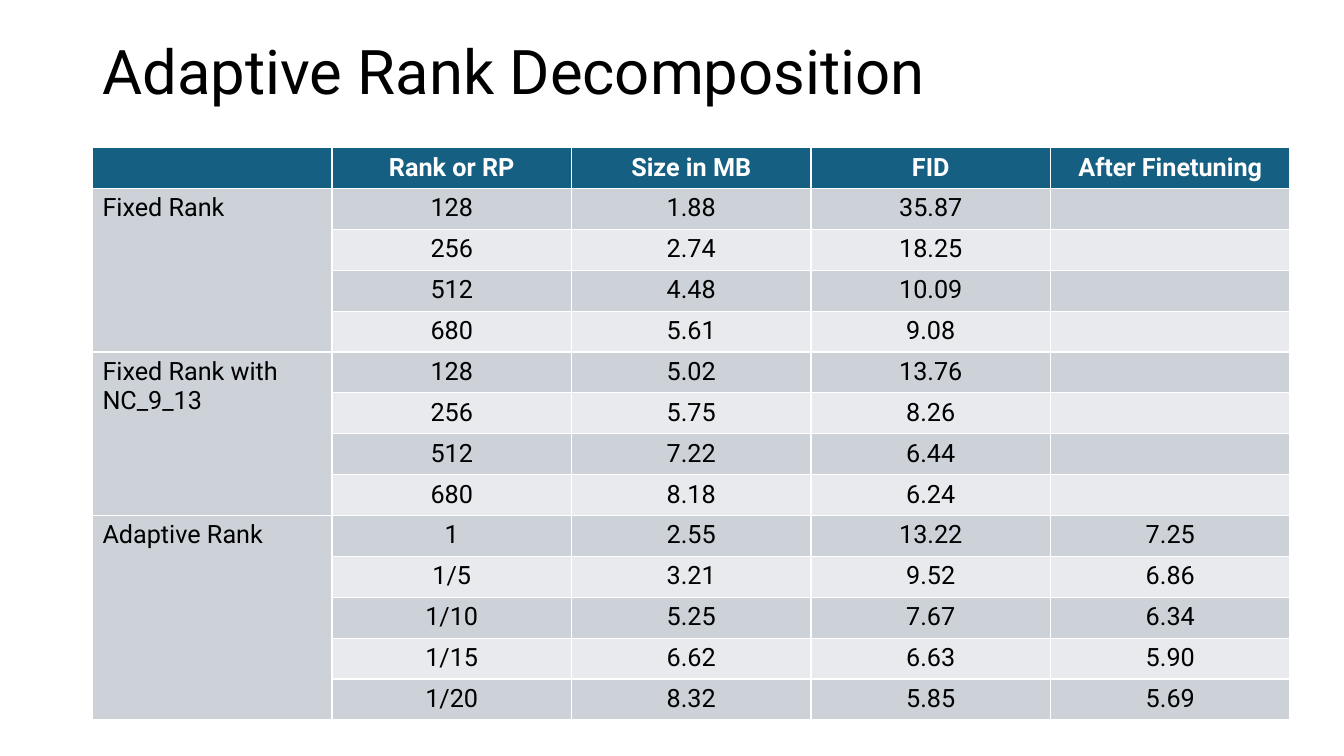
import pptx
import pptx.dml.color
import pptx.enum.text
import pptx.util

Cm = pptx.util.Cm
Pt = pptx.util.Pt
ALIGN = pptx.enum.text.PP_ALIGN

FONT = "Roboto"
COLOURS = {
    "header": "156082",
    "dark band": "CCD2D8",
    "light band": "E8EAED",
    "header text": "FFFFFF",
    "text": "000000",
}
HEADINGS = ["", "Rank or RP", "Size in MB", "FID", "After Finetuning"]
GROUPS = [
    ("Fixed Rank", [
        ("128", "1.88", "35.87", ""),
        ("256", "2.74", "18.25", ""),
        ("512", "4.48", "10.09", ""),
        ("680", "5.61", "9.08", ""),
    ]),
    ("Fixed Rank with NC_9_13", [
        ("128", "5.02", "13.76", ""),
        ("256", "5.75", "8.26", ""),
        ("512", "7.22", "6.44", ""),
        ("680", "8.18", "6.24", ""),
    ]),
    ("Adaptive Rank", [
        ("1", "2.55", "13.22", "7.25"),
        ("1/5", "3.21", "9.52", "6.86"),
        ("1/10", "5.25", "7.67", "6.34"),
        ("1/15", "6.62", "6.63", "5.90"),
        ("1/20", "8.32", "5.85", "5.69"),
    ]),
]
COMPACT_ROWS = 5  # the header and the first group


def colour(name):
    return pptx.dml.color.RGBColor.from_string(COLOURS[name])


def style_text(para, size, colour_name, bold, align):
    para.alignment = align
    for span in para.runs:
        span.font.name = FONT
        span.font.size = Pt(size)
        span.font.bold = bold
        span.font.color.rgb = colour(colour_name)


def fill_cell(cell, text, fill, text_colour="text", bold=False, align=ALIGN.CENTER):
    cell.fill.solid()
    cell.fill.fore_color.rgb = colour(fill)
    cell.text_frame.text = text
    style_text(cell.text_frame.paragraphs[0], 18, text_colour, bold, align)


def add_title(page, text, left, top, width, height):
    box = page.shapes.title
    box.left, box.top, box.width, box.height = left, top, width, height
    frame = box.text_frame
    frame.text = text
    frame.auto_size = pptx.enum.text.MSO_AUTO_SIZE.NONE
    frame.vertical_anchor = pptx.enum.text.MSO_ANCHOR.MIDDLE
    frame.paragraphs[0].line_spacing = 0.9
    style_text(frame.paragraphs[0], 44, "text", False, ALIGN.LEFT)


def add_results_table(page, left, top, width, height):
    row_count = 1 + sum(len(results) for _, results in GROUPS)
    table = page.shapes.add_table(
        row_count, len(HEADINGS), left, top, width, height).table
    for index, row in enumerate(table.rows):
        row.height = Cm(1.0 if index < COMPACT_ROWS else 1.03)
    for column, heading in enumerate(HEADINGS):
        fill_cell(table.cell(0, column), heading, "header", "header text", True)

    first = 1
    for label, results in GROUPS:
        last = first + len(results) - 1
        table.cell(first, 0).merge(table.cell(last, 0))
        fill_cell(table.cell(first, 0), label, "dark band", align=ALIGN.LEFT)
        for row, values in enumerate(results, first):
            band = "dark band" if row % 2 else "light band"
            for column, value in enumerate(values, 1):
                fill_cell(table.cell(row, column), value, band)
        first = last + 1


def main():
    deck = pptx.Presentation()
    deck.slide_width, deck.slide_height = Cm(33.87), Cm(19.05)
    page = deck.slides.add_slide(deck.slide_layouts.get_by_name("Title Only"))
    add_title(page, "Adaptive Rank Decomposition", Cm(2.33), Cm(0.03), Cm(29.21), Cm(3.68))
    add_results_table(page, Cm(2.33), Cm(3.72), Cm(30.18), Cm(14.27))
    deck.save("out.pptx")


if __name__ == "__main__":
    main()
